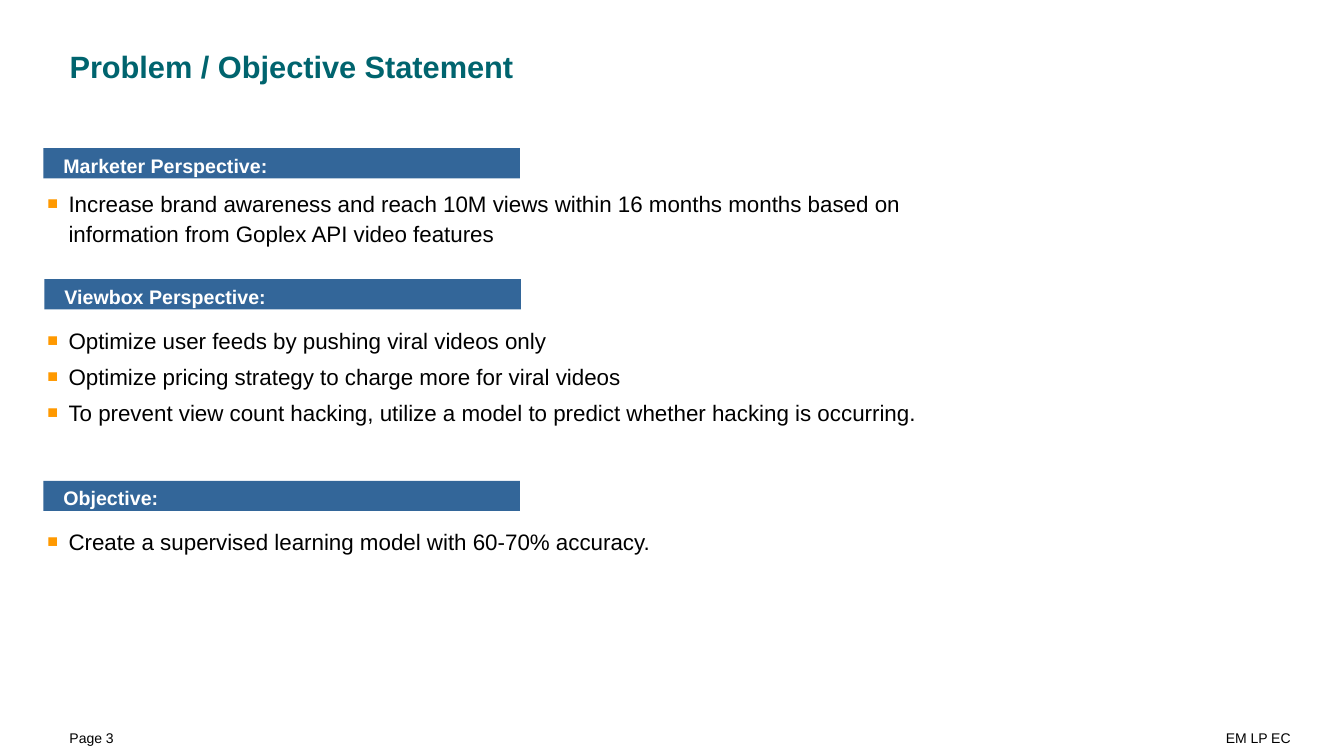
"""Build the problem and objective statement slide."""
import pptx
import pptx.util
import pptx.dml.color
import pptx.enum.shapes
import pptx.enum.text
import pptx.oxml.ns
from lxml import etree

Inches, Pt = pptx.util.Inches, pptx.util.Pt
ALIGN = pptx.enum.text.PP_ALIGN
ANCHOR = pptx.enum.text.MSO_ANCHOR

TITLE = "Problem / Objective Statement"
BARS = [
    ("Marketer Perspective:", 0.43, 1.47),
    ("Viewbox Perspective:", 0.44, 2.77),
    ("Objective:", 0.43, 4.77),
]
GOALS = [
    ["Increase brand awareness and reach 10M views within 16 months months "
     "based on information from Goplex API video features"],
    ["Optimize user feeds by pushing viral videos only",
     "Optimize pricing strategy to charge more for viral videos",
     "To prevent view count hacking, utilize a model to predict whether "
     "hacking is occurring."],
    ["Create a supervised learning model with 60-70% accuracy."],
]
LEADS = [0, 55.5, 71]
FEET = [
    ("Page 3", (0, 7.22, 1.93, 0.28), (0.69, 0, 0, 0.13), ALIGN.LEFT),
    ("EM LP EC", (4.14, 7.22, 9.2, 0.28), (0, 0, 0.53, 0.13), ALIGN.RIGHT),
]
THEME = {
    "font": "Arial", "lines": 1.1, "gap": 4.6,
    "title": (22, "00646E", True),
    "bar": (14, "FFFFFF", True),
    "body": (16, "000000", False),
    "foot": (10, "000000", False),
    "fill": "336699", "mark": "FF9900",
}


def color(key):
    return pptx.dml.color.RGBColor.from_string(key)


def place(shape, box):
    shape.left, shape.top, shape.width, shape.height = map(Inches, box)


def frame(shape, pads, anchor=ANCHOR.TOP):
    text = shape.text_frame
    text.word_wrap = True
    text.auto_size = pptx.enum.text.MSO_AUTO_SIZE.NONE
    text.vertical_anchor = anchor
    (text.margin_left, text.margin_top,
     text.margin_right, text.margin_bottom) = map(Inches, pads)
    return text


def write(para, words, style, align=ALIGN.LEFT, lead=0):
    para.text = words
    para.alignment = align
    para.line_spacing = THEME["lines"]
    para.space_before = Pt(lead)
    para.space_after = Pt(0)
    size, tone, bold = THEME[style]
    for run in para.runs:
        run.font.name = THEME["font"]
        run.font.size = Pt(size)
        run.font.bold = bold
        run.font.color.rgb = color(tone)


def bullet(para):
    qn = pptx.oxml.ns.qn
    props = para._p.get_or_add_pPr()
    props.set("marL", str(Inches(0.21)))
    props.set("indent", str(-Inches(0.21)))
    tint = etree.SubElement(props, qn("a:buClr"))
    etree.SubElement(tint, qn("a:srgbClr"), val=THEME["mark"])
    etree.SubElement(props, qn("a:buSzPct"), val="80000")
    etree.SubElement(props, qn("a:buFont"), typeface=THEME["font"])
    etree.SubElement(props, qn("a:buChar"), char="■")


def main():
    deck = pptx.Presentation()
    deck.slide_width, deck.slide_height = Inches(13.34), Inches(7.5)
    slide = deck.slides.add_slide(deck.slide_layouts[1])

    title = slide.shapes.title
    place(title, (0, -0.03, 13.34, 1.57))
    text = frame(title, (0.69, 0.47, 3, 0.26))
    write(text.paragraphs[0], TITLE, "title")

    body = slide.placeholders[1]
    place(body, (0.37, 1.86, 9.29, 5))
    text = frame(body, (0.1, 0, 0.1, 0))
    para = text.paragraphs[0]
    for group, first in zip(GOALS, LEADS):
        for spot, goal in enumerate(group):
            if para is None:
                para = text.add_paragraph()
            write(para, goal, "body", lead=THEME["gap"] if spot else first)
            bullet(para)
            para = None

    for words, left, top in BARS:
        bar = slide.shapes.add_shape(
            pptx.enum.shapes.MSO_SHAPE.RECTANGLE,
            *map(Inches, (left, top, 4.73, 0.3)))
        bar.shadow.inherit = False
        bar.fill.solid()
        bar.fill.fore_color.rgb = color(THEME["fill"])
        bar.line.fill.background()
        text = frame(bar, (0.2, 0.02, 0, 0), ANCHOR.MIDDLE)
        write(text.paragraphs[0], words, "bar")

    for words, box, pads, align in FEET:
        foot = slide.shapes.add_textbox(*map(Inches, box))
        write(frame(foot, pads).paragraphs[0], words, "foot", align)

    deck.save("out.pptx")


if __name__ == "__main__":
    main()
